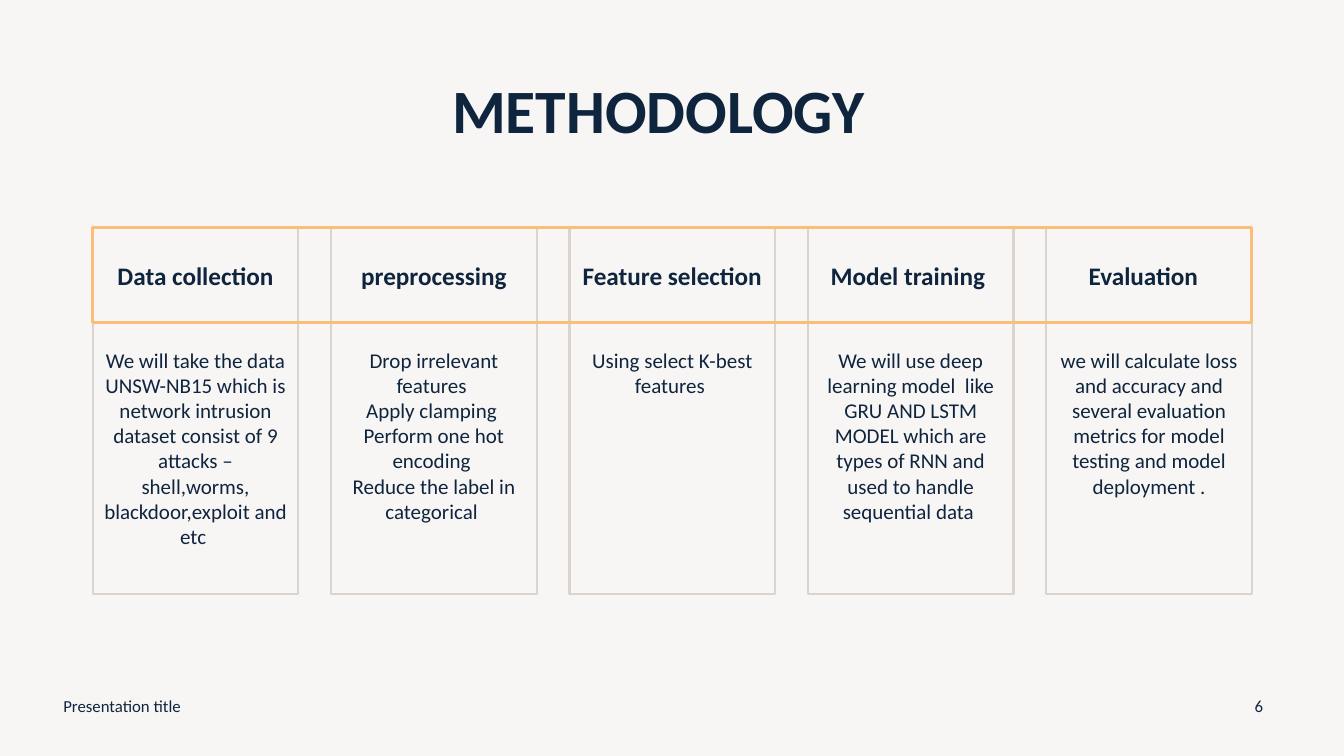
from pptx import Presentation
from pptx.dml.color import RGBColor
from pptx.enum.shapes import MSO_SHAPE as Shape
from pptx.enum.text import MSO_ANCHOR as Anchor, MSO_AUTO_SIZE as AutoSize, PP_ALIGN as Align
from pptx.util import Pt

NAVY, BEIGE, ORANGE, PAPER = "0F253E", "DCD3CC", "FABE79", "F8F6F5"
LEFT, TOP, FULL_WIDTH = 66.24, 162.72, 828
HEADER_HEIGHT, BODY_HEIGHT = 67.9, 193.9
COLUMN_WIDTH = 146.88

STEPS = [
    ("Data collection", "We will take the data UNSW-NB15 which is network intrusion dataset consist of 9 attacks – shell,worms, blackdoor,exploit and etc "),
    ("preprocessing", "Drop irrelevant features \nApply clamping \nPerform one hot encoding \nReduce the label in categorical "),
    ("Feature selection", "Using select K-best features "),
    ("Model training ", "We will use deep learning model  like GRU AND LSTM MODEL which are types of RNN and used to handle sequential data "),
    ("Evaluation  ", "we will calculate loss and accuracy and several evaluation metrics for model testing and model deployment ."),
]


def write(shape, text, size, bold=False, align=Align.CENTER, anchor=Anchor.MIDDLE):
    frame = shape.text_frame
    frame.text = text
    frame.word_wrap = True
    frame.auto_size = AutoSize.NONE
    frame.vertical_anchor = anchor
    for paragraph in frame.paragraphs:
        paragraph.alignment = align
        for run in paragraph.runs:
            run.font.name = "Calibri"
            run.font.size = Pt(size)
            run.font.bold = bold
            run.font.color.rgb = RGBColor.from_string(NAVY)


def add_frame(left, top, width, height, color, weight):
    shape = slide.shapes.add_shape(Shape.RECTANGLE, Pt(left), Pt(top), Pt(width), Pt(height))
    shape.shadow.inherit = False
    shape.fill.background()
    shape.line.color.rgb = RGBColor.from_string(color)
    shape.line.width = Pt(weight)
    return shape


presentation = Presentation()
presentation.slide_width, presentation.slide_height = Pt(960), Pt(540)
slide = presentation.slides.add_slide(presentation.slide_layouts[5])
slide.background.fill.solid()
slide.background.fill.fore_color.rgb = RGBColor.from_string(PAPER)

title = slide.shapes.title
title.left, title.top, title.width, title.height = Pt(LEFT), Pt(28.8), Pt(FULL_WIDTH), Pt(104.4)
write(title, "METHODOLOGY  ", 44, bold=True)
title.text_frame.paragraphs[0].line_spacing = 0.9

pitch = (FULL_WIDTH - COLUMN_WIDTH) / (len(STEPS) - 1)
for index, (heading, description) in enumerate(STEPS):
    left = LEFT + index * pitch
    header = add_frame(left, TOP, COLUMN_WIDTH, HEADER_HEIGHT, BEIGE, 1.5)
    write(header, heading, 18, bold=True)
    body = add_frame(left, TOP + HEADER_HEIGHT, COLUMN_WIDTH, BODY_HEIGHT, BEIGE, 1.5)
    write(body, description, 15, anchor=Anchor.TOP)
    body.text_frame.margin_top = Pt(17.28)

add_frame(LEFT, TOP, FULL_WIDTH, HEADER_HEIGHT, ORANGE, 2.25)

for text, left, width, align in [
    ("Presentation title", 38.16, 324, Align.LEFT),
    ("6", 881.28, 36, Align.CENTER),
]:
    footer = slide.shapes.add_textbox(Pt(left), Pt(489.6), Pt(width), Pt(28.8))
    write(footer, text, 12, align=align)

presentation.save("out.pptx")
